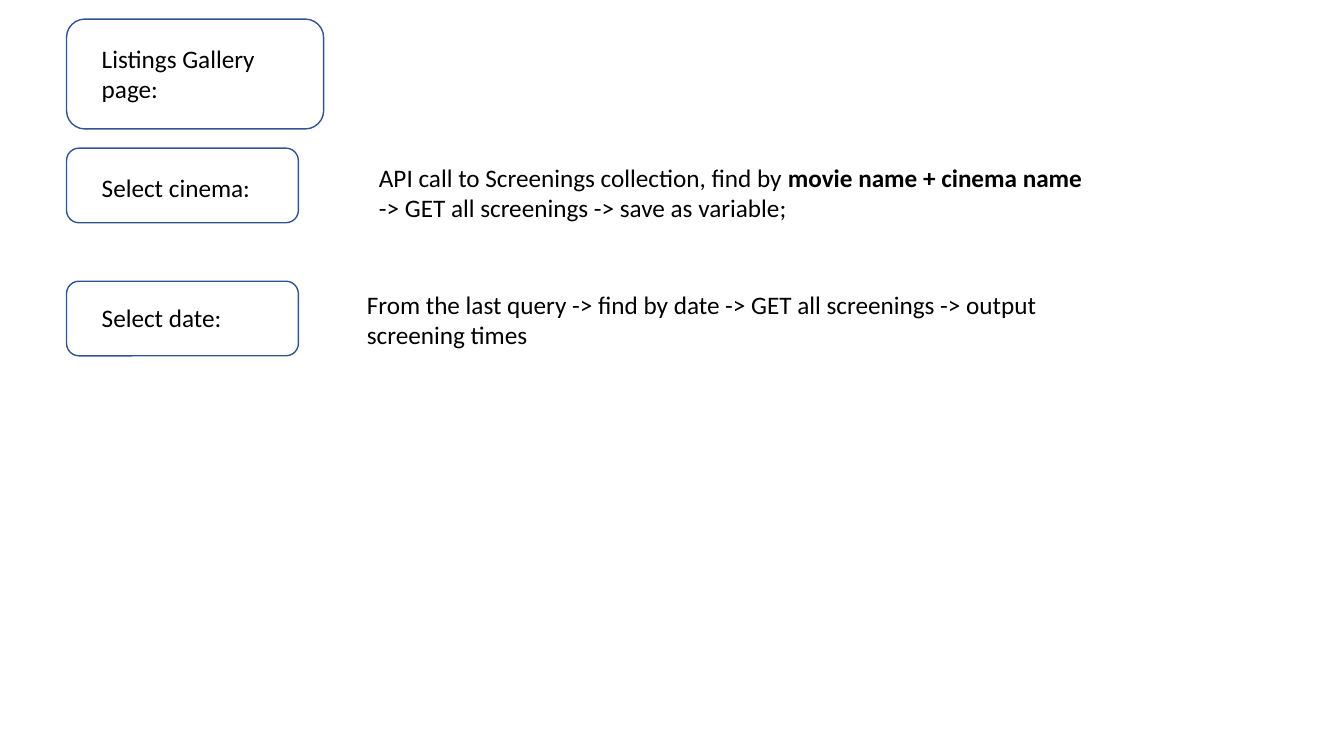
from pptx import Presentation
from pptx import util as u
from pptx.dml.color import RGBColor
from pptx.enum import shapes, text

OUTLINE = RGBColor(0x32, 0x54, 0x91)
INK = RGBColor(0, 0, 0)

prs = Presentation()
prs.slide_width, prs.slide_height = u.Inches(13.33), u.Inches(7.5)
slide = prs.slides.add_slide(prs.slide_layouts[6])

# Grid of 100 columns by 100 rows
COL, ROW = prs.slide_width / 100, prs.slide_height / 100
STEP_LEFT = 4.95
LABEL_INDENT, LABEL_WIDTH = 1.88, 15.45
NOTE_WIDTH = 54.84
LINE_ROWS = {1: 5.33, 2: 9.47}


def on_grid(left, top, width, height):
    return [round(n) for n in (left * COL, top * ROW, width * COL, height * ROW)]


def add_wording(left, top, width, lines, runs):
    """Place one paragraph of (wording, bold) runs, sized for its line count."""
    frame = slide.shapes.add_textbox(
        *on_grid(left, top, width, LINE_ROWS[lines])).text_frame
    frame.word_wrap = True
    frame.auto_size = text.MSO_AUTO_SIZE.SHAPE_TO_FIT_TEXT
    paragraph = frame.paragraphs[0]
    paragraph.font.name = "Calibri"
    paragraph.font.size = u.Pt(18)
    paragraph.font.color.rgb = INK
    for wording, bold in runs:
        run = paragraph.add_run()
        run.text = wording
        if bold:
            run.font.bold = True


def add_step(box, label, label_drop, label_lines=1, note=(), note_offset=(0, 0)):
    """Draw a rounded step box, its label, and the note beside it."""
    left, top, _, _ = box
    frame = slide.shapes.add_shape(
        shapes.MSO_SHAPE.ROUNDED_RECTANGLE, *on_grid(*box))
    frame.shadow.inherit = False
    frame.fill.background()
    frame.line.color.rgb = OUTLINE
    frame.line.width = u.Pt(1)
    add_wording(left + LABEL_INDENT, top + label_drop, LABEL_WIDTH,
                label_lines, [(label, False)])
    if note:
        across, down = note_offset
        add_wording(left + across, top + down, NOTE_WIDTH, 2, note)


# Page heading
add_step((STEP_LEFT, 2.53, 19.13, 14.53), "Listings Gallery page:", 2.53, 2)

# Cinema choice
add_step((STEP_LEFT, 19.6, 17.25, 9.87), "Select cinema:", 2.53,
         note=[("API call to Screenings collection, find by ", False),
               ("movie name + cinema name ", True),
               ("-> GET all screenings -> save as variable;", False)],
         note_offset=(22.51, 1.2))

# Date choice
add_step((STEP_LEFT, 37.2, 17.25, 9.87), "Select date:", 2.13,
         note=[("From the last query -> find by date -> GET all screenings "
                "-> output screening times", False)],
         note_offset=(21.61, 0.4))

prs.save("out.pptx")
